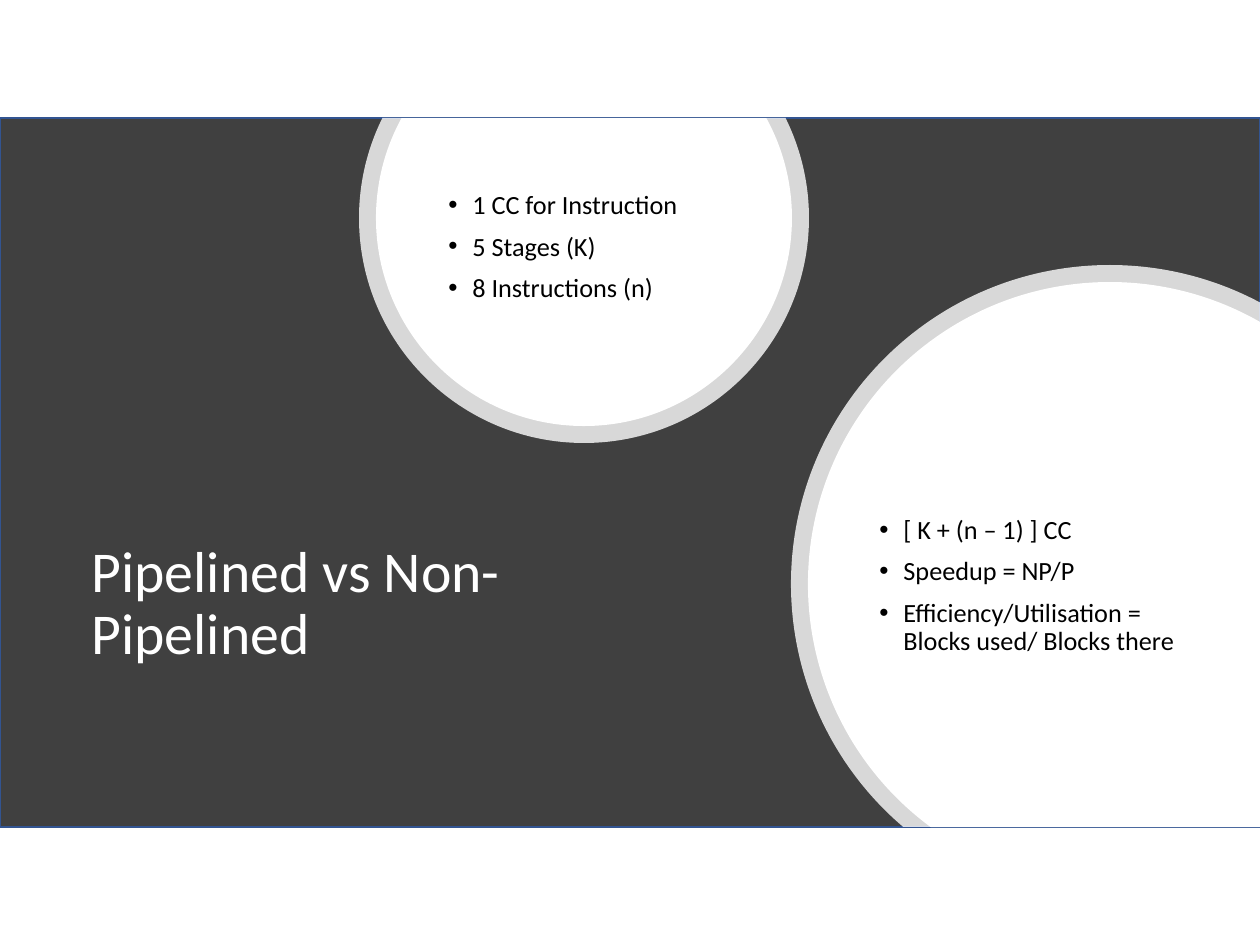
import math

from lxml import etree
from pptx import Presentation
from pptx.dml.color import RGBColor
from pptx.enum.shapes import MSO_SHAPE
from pptx.enum.text import MSO_ANCHOR, MSO_AUTO_SIZE, PP_ALIGN
from pptx.oxml.ns import qn
from pptx.util import Pt

RECTANGLE = MSO_SHAPE.RECTANGLE
MIDDLE = MSO_ANCHOR.MIDDLE
LEFT = PP_ALIGN.LEFT
NO_AUTOFIT = MSO_AUTO_SIZE.NONE

EMU_PER_PX = 914400 / 126
TITLE_ONLY = 5
FONT = "Calibri"
PANEL = (0, 118, 1260, 709)
PANEL_TOP, PANEL_RIGHT, PANEL_BOTTOM = 118, 1260, 827
INDENT = 24
TOP_CENTRE = (584, 218)
SIDE_CENTRE = (1110, 584)
NOTES = [
    ((436, 155, 297, 185),
     ["1 CC for Instruction", "5 Stages (K)", "8 Instructions (n)"]),
    ((867, 443, 359, 287),
     ["[ K + (n – 1) ] CC", "Speedup = NP/P",
      "Efficiency/Utilisation = Blocks used/ Blocks there"]),
]


def px(length):
    return round(length * EMU_PER_PX)


def colour(value):
    return RGBColor.from_string(value)


def paint(shape, fill):
    shape.shadow.inherit = False
    shape.fill.solid()
    shape.fill.fore_color.rgb = colour(fill)


def add_panel(page):
    panel = page.shapes.add_shape(RECTANGLE, *map(px, PANEL))
    paint(panel, "404040")
    panel.line.color.rgb = colour("325491")
    panel.line.width = Pt(1)
    page.shapes.title.element.addprevious(panel.element)


def arc_points(centre, radius, start, end):
    quarter = math.pi / 2
    inner = [turn * quarter for turn in range(5) if start < turn * quarter < end]
    stops = [start, *inner, end]

    def point(angle, pull=0):
        cosine, sine = math.cos(angle), math.sin(angle)
        return (px(centre[0] + radius * (cosine - pull * sine)),
                px(centre[1] + radius * (sine + pull * cosine)))

    points = [point(start)]
    for first, last in zip(stops, stops[1:]):
        pull = 4 / 3 * math.tan((last - first) / 4)
        points += [point(first, pull), point(last, -pull), point(last)]
    return points


def curve_lines(shape, count):
    lines = list(shape.element.iter(qn("a:lnTo")))[:count]
    for index in range(0, count, 3):
        curve = etree.Element(qn("a:cubicBezTo"))
        lines[index].addprevious(curve)
        for line in lines[index:index + 3]:
            curve.append(line[0])
            line.getparent().remove(line)


def add_cut_circle(page, arc, corners, opacity):
    builder = page.shapes.build_freeform(*arc[0])
    builder.add_line_segments(arc[1:] + corners, close=True)
    circle = builder.convert_to_shape()
    curve_lines(circle, len(arc) - 1)
    paint(circle, "FFFFFF")
    circle.line.fill.background()
    if opacity < 100:
        tint = circle.element.spPr.find(qn("a:solidFill"))[0]
        etree.SubElement(tint, qn("a:alpha"), val=str(opacity * 1000))


def add_top_circle(page, radius, opacity):
    tilt = math.asin((TOP_CENTRE[1] - PANEL_TOP) / radius)
    arc = arc_points(TOP_CENTRE, radius, -tilt, math.pi + tilt)
    add_cut_circle(page, arc, [], opacity)


def add_side_circle(page, radius, opacity):
    start = math.pi - math.asin((PANEL_BOTTOM - SIDE_CENTRE[1]) / radius)
    end = 2 * math.pi - math.acos((PANEL_RIGHT - SIDE_CENTRE[0]) / radius)
    arc = arc_points(SIDE_CENTRE, radius, start, end)
    add_cut_circle(page, arc, [(px(PANEL_RIGHT), px(PANEL_BOTTOM))], opacity)


def format_frame(frame):
    frame.word_wrap = True
    frame.auto_size = NO_AUTOFIT
    frame.vertical_anchor = MIDDLE


def format_para(para, size, fill):
    para.alignment = LEFT
    para.line_spacing = 0.9
    para.font.name = FONT
    para.font.size = Pt(size)
    para.font.color.rgb = colour(fill)


def set_title(page, text):
    title = page.shapes.title
    title.left, title.top, title.width, title.height = map(px, (79, 479, 626, 251))
    title.text_frame.text = text
    format_frame(title.text_frame)
    format_para(title.text_frame.paragraphs[0], 33, "FFFFFF")


def add_bullet(para):
    properties = para._p.get_or_add_pPr()
    properties.set("marL", str(px(INDENT)))
    properties.set("indent", str(-px(INDENT)))
    etree.SubElement(properties, qn("a:buFont"), typeface="Arial")
    etree.SubElement(properties, qn("a:buChar"), char="•")


def add_bullets(page, place, lines):
    frame = page.shapes.add_textbox(*map(px, place)).text_frame
    format_frame(frame)
    frame.text = "\n".join(lines)
    for number, para in enumerate(frame.paragraphs):
        add_bullet(para)
        format_para(para, 15, "000000")
        if number:
            para.space_before = Pt(7.5)


def main():
    deck = Presentation()
    deck.slide_width, deck.slide_height = px(1260), px(945)
    page = deck.slides.add_slide(deck.slide_layouts[TITLE_ONLY])
    add_panel(page)
    set_title(page, "Pipelined vs Non-Pipelined")
    add_top_circle(page, 225, 80)
    add_side_circle(page, 319, 80)
    add_top_circle(page, 208, 100)
    add_side_circle(page, 302, 100)
    for place, lines in NOTES:
        add_bullets(page, place, lines)
    deck.save("out.pptx")


if __name__ == "__main__":
    main()
